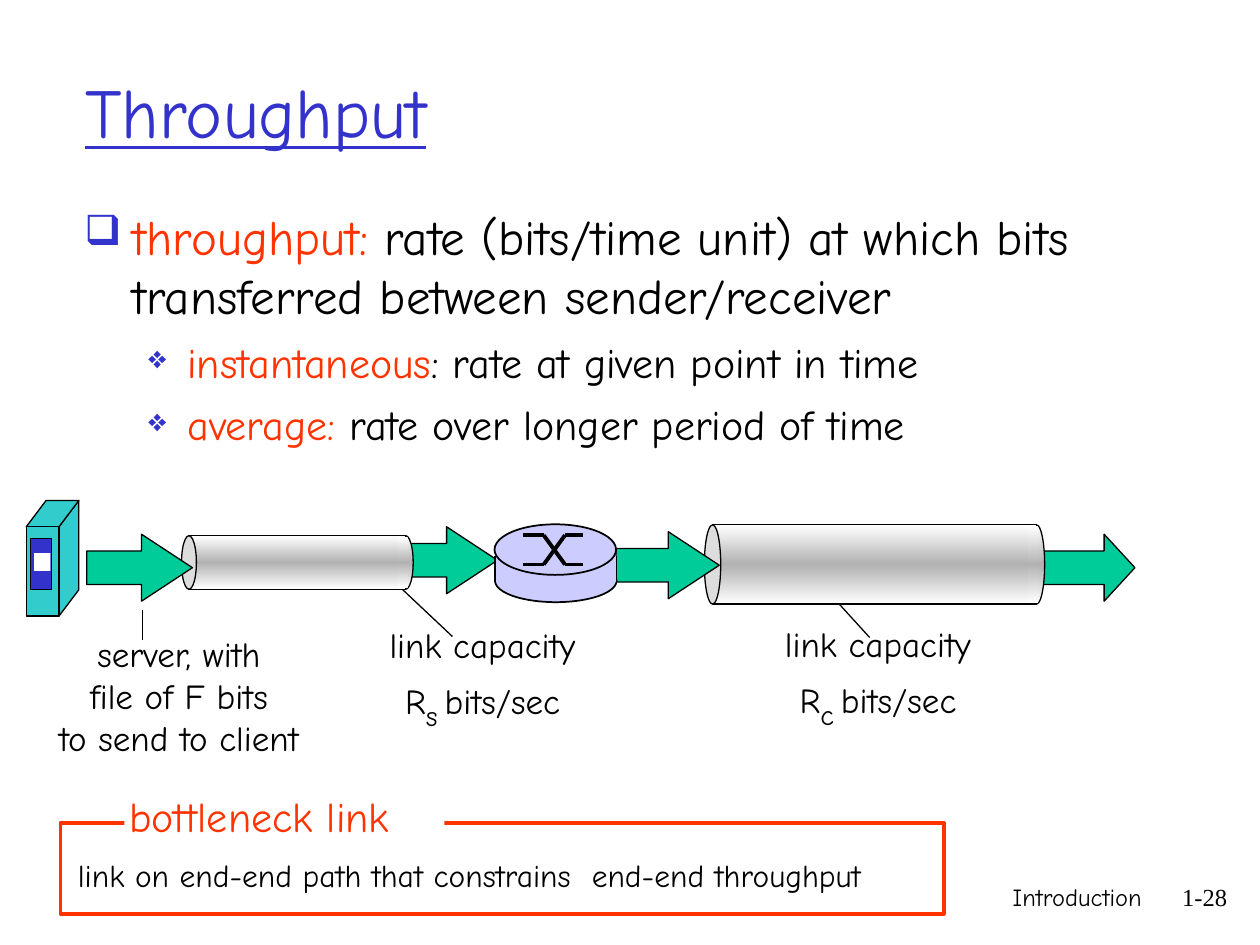
import copy
import itertools
from typing import NamedTuple

import pptx
import pptx.dml.color
import pptx.enum.shapes
import pptx.enum.text
import pptx.oxml.ns
import pptx.util
from lxml import etree

Cm = pptx.util.Cm
Pt = pptx.util.Pt
Shape = pptx.enum.shapes.MSO_SHAPE
Align = pptx.enum.text.PP_ALIGN
qn = pptx.oxml.ns.qn

BLACK, WHITE, BLUE, RED = "000000", "FFFFFF", "3333CC", "FF3300"
TEAL, GREEN, LILAC, GREY = "33CCCC", "00CC99", "CCCCFF", "DDDDDD"
METAL = (WHITE, "B2B2B2", WHITE)
FONT = "Comic Neue"


class Pipe(NamedTuple):
    left: float
    top: float
    length: float
    height: float
    cap: float


class Arrow(NamedTuple):
    left: float
    top: float
    width: float
    head: float = 0.76


class Bullet(NamedTuple):
    term: str
    rest: str
    size: float
    char: str
    percent: int
    margin: float
    hanging: float
    before: float


prs = pptx.Presentation()
prs.slide_width, prs.slide_height = Cm(25.4), Cm(19.05)
s = prs.slides.add_slide(prs.slide_layouts[5])


def rgb(value: str) -> pptx.dml.color.RGBColor:
    return pptx.dml.color.RGBColor.from_string(value)


# Shapes and lines
def paint(sp, fill, line=BLACK, weight: float = 0.75):
    sp.shadow.inherit = False
    if isinstance(fill, tuple):
        sp.fill.gradient()
        sp.fill.gradient_angle = 90
        stops = sp._element.xpath(".//a:gsLst")[0]
        stops.append(copy.deepcopy(stops[-1]))
        for i, (stop, color) in enumerate(zip(sp.fill.gradient_stops, fill)):
            stop.color.rgb = rgb(color)
            stop.position = i / 2
    else:
        sp.fill.solid()
        sp.fill.fore_color.rgb = rgb(fill)
    if line:
        sp.line.color.rgb = rgb(line)
        sp.line.width = Pt(weight)
    else:
        sp.line.fill.background()
    return sp


def add_shape(kind, left: float, top: float, width: float, height: float, fill, **style):
    sp = s.shapes.add_shape(kind, Cm(left), Cm(top), Cm(width), Cm(height))
    return paint(sp, fill, **style)


def add_polygon(points: list, fill: str) -> None:
    pts = [(Cm(x), Cm(y)) for x, y in points]
    builder = s.shapes.build_freeform(*pts[0])
    builder.add_line_segments(pts[1:], close=True)
    paint(builder.convert_to_shape(), fill)


def add_lines(*points: tuple, weight: float = 0.75) -> None:
    for (x1, y1), (x2, y2) in itertools.pairwise(points):
        ln = s.shapes.add_connector(pptx.enum.shapes.MSO_CONNECTOR.STRAIGHT,
                                    Cm(x1), Cm(y1), Cm(x2), Cm(y2))
        ln.line.color.rgb = rgb(BLACK)
        ln.line.width = Pt(weight)
        etree.SubElement(ln._element.spPr, qn("a:effectLst"))


def draw_pipe(pipe: Pipe) -> None:
    left, top, length, height, cap = pipe
    right = left + length - cap
    add_shape(Shape.OVAL, right, top, cap, height, METAL)
    add_shape(Shape.RECTANGLE, left + cap / 2, top, length - cap, height, METAL)
    add_shape(Shape.OVAL, left, top, cap, height, GREY)
    add_shape(Shape.RECTANGLE, right, top + 0.03, cap / 2 + 0.04, height - 0.06,
              METAL, line=None)


def draw_arrow(arrow: Arrow) -> None:
    sp = add_shape(Shape.RIGHT_ARROW, arrow.left, arrow.top, arrow.width, 1.35, GREEN)
    sp.adjustments[0], sp.adjustments[1] = 0.5, arrow.head


# Text
def add_run(p, text: str, *, size: float, color: str = BLACK, font: str = FONT,
            underline: bool = False, baseline: int = 0) -> None:
    r = p.add_run()
    r.text = text
    r.font.size, r.font.name, r.font.color.rgb = Pt(size), font, rgb(color)
    if underline:
        r.font.underline = True
    if baseline:
        r._r.get_or_add_rPr().set("baseline", str(baseline * 1000))


def set_frame(sp, left: float = 0.1, top: float = 0, right: float = 0.1, bottom: float = 0,
              anchor=pptx.enum.text.MSO_ANCHOR.TOP):
    tf = sp.text_frame
    tf.auto_size = pptx.enum.text.MSO_AUTO_SIZE.NONE
    tf.word_wrap = True
    tf.vertical_anchor = anchor
    tf.margin_left, tf.margin_top = Cm(left), Cm(top)
    tf.margin_right, tf.margin_bottom = Cm(right), Cm(bottom)
    return tf


def add_box(left: float, top: float, width: float, height: float):
    return s.shapes.add_textbox(Cm(left), Cm(top), Cm(width), Cm(height))


def write(sp, *lines: str, align=Align.LEFT, **style):
    tf = set_frame(sp)
    for i, line in enumerate(lines):
        p = tf.add_paragraph() if i else tf.paragraphs[0]
        p.alignment = align
        add_run(p, line, **style)
    return tf


def add_bullet(p, item: Bullet) -> None:
    pPr = p._p.get_or_add_pPr()
    pPr.set("marL", str(Cm(item.margin)))
    pPr.set("indent", str(-Cm(item.hanging)))
    color = etree.SubElement(pPr, qn("a:buClr"))
    etree.SubElement(color, qn("a:srgbClr"), val=BLUE)
    etree.SubElement(pPr, qn("a:buSzPct"), val=str(item.percent * 1000))
    etree.SubElement(pPr, qn("a:buChar"), char=item.char)
    if item.before:
        p.space_before = Pt(item.before)
    add_run(p, item.term, size=item.size, color=RED)
    add_run(p, item.rest, size=item.size)


def label_capacity(left: float, top: float, index: str) -> None:
    tf = write(add_box(left, top, 3.96, 2.18), "link capacity", align=Align.CENTER, size=20)
    p = tf.add_paragraph()
    p.alignment = Align.CENTER
    add_run(p, "R", size=20)
    add_run(p, index, size=28, baseline=-25)
    add_run(p, " ", size=20, baseline=-25)
    add_run(p, "bits/sec", size=20)


# Title and definitions
title = s.shapes.title
title.left, title.top, title.width, title.height = Cm(1.47), Cm(0.43), Cm(21.59), Cm(3.61)
tf = set_frame(title, 0.25, 0.15, 0.36, 0.15, pptx.enum.text.MSO_ANCHOR.MIDDLE)
tf.paragraphs[0].alignment = Align.LEFT
add_run(tf.paragraphs[0], "Throughput", size=40, color=BLUE, underline=True)

SUB = (24, "❖", 75, 2.18, 0.79, 7)
bullets = [
    Bullet("throughput:", " rate (bits/time unit) at which bits transferred between "
           "sender/receiver", 28, "❑", 85, 1.07, 0.97, 0),
    Bullet("instantaneous", ": rate at given point in time", *SUB),
    Bullet("average:", " rate over longer period of time", *SUB),
]
tf = set_frame(add_box(1.45, 4.01, 21.59, 5.69), 0.15, 0.15, 0.36, 0.15)
for i, item in enumerate(bullets):
    p = tf.add_paragraph() if i else tf.paragraphs[0]
    p.level = min(i, 1)
    add_bullet(p, item)

# Server
add_polygon([(1.19, 10.62), (1.59, 10.09), (1.59, 11.89), (1.19, 12.42)], TEAL)
add_polygon([(0.53, 10.62), (0.93, 10.09), (1.59, 10.09), (1.19, 10.62)], TEAL)
add_shape(Shape.RECTANGLE, 0.53, 10.62, 0.66, 1.8, TEAL)
add_shape(Shape.RECTANGLE, 0.61, 10.85, 0.43, 1.04, BLUE)
add_shape(Shape.RECTANGLE, 0.69, 11.15, 0.33, 0.36, WHITE, line=None)

# Labels and their leader lines
write(add_box(0.74, 12.75, 5.74, 4.24), "server, with", "file of F bits",
      "to send to client", align=Align.CENTER, size=20)
label_capacity(7.75, 12.57, "s")
label_capacity(15.72, 12.55, "c")
add_lines((9.12, 12.83), (7.77, 11.56))
add_lines((17.53, 12.85), (16.21, 11.4))
add_lines((2.87, 12.29), (2.87, 12.9))

# Links and flow arrows
draw_arrow(Arrow(20.24, 10.77, 2.64, 0.46))
draw_pipe(Pipe(14.2, 10.58, 6.86, 1.6, 0.33))
draw_arrow(Arrow(8.15, 10.62, 1.88))
draw_pipe(Pipe(3.66, 10.8, 4.67, 1.08, 0.3))
draw_arrow(Arrow(12.42, 10.72, 2.08))
draw_arrow(Arrow(1.75, 10.77, 2.13))

# Router
add_shape(Shape.OVAL, 9.98, 11.28, 2.45, 0.86, LILAC, weight=1)
add_shape(Shape.RECTANGLE, 9.98, 11.2, 2.45, 0.53, LILAC, line=None)
for x in (9.98, 12.43):
    add_lines((x, 11.2), (x, 11.73), weight=1)
add_shape(Shape.OVAL, 9.97, 10.57, 2.45, 1.02, LILAC, weight=1)
for y1, y2 in ((10.79, 11.38), (11.38, 10.79)):
    add_lines((10.54, y1), (10.96, y1), (11.39, y2), (11.76, y2), weight=2.25)

# Bottleneck definition
add_shape(Shape.RECTANGLE, 1.22, 16.59, 17.81, 1.83, WHITE, line=RED, weight=2.25)
write(add_box(1.47, 17.25, 17.88, 1.12),
      "link on end-end path that constrains  end-end throughput", size=18)
write(add_shape(Shape.RECTANGLE, 2.51, 15.93, 6.45, 1.09, WHITE, line=None),
      "bottleneck link", size=24, color=RED)

# Footer
write(add_box(15.04, 17.78, 8.08, 0.97), "Introduction", align=Align.RIGHT, size=14)
write(add_box(23.09, 17.78, 1.75, 0.81), "1-28", align=Align.RIGHT, size=14,
      font="Times New Roman")

prs.save("out.pptx")
